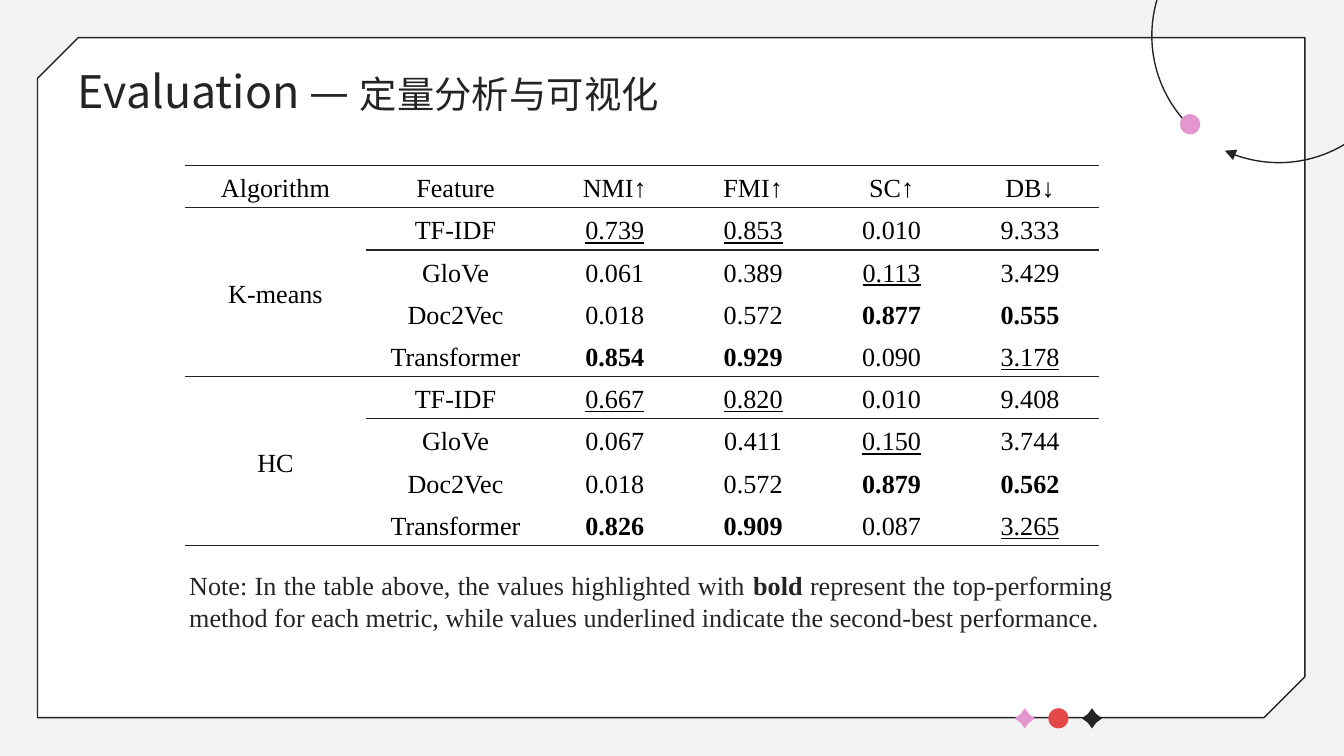
from lxml import etree
from pptx import Presentation
from pptx.dml.color import RGBColor
from pptx.enum.shapes import MSO_SHAPE
from pptx.enum.text import MSO_ANCHOR, MSO_AUTO_SIZE, PP_ALIGN
from pptx.oxml.ns import qn
from pptx.util import Inches, Pt

PANEL, STAR, OVAL, ARC = (MSO_SHAPE.SNIP_2_DIAG_RECTANGLE, MSO_SHAPE.STAR_4_POINT,
                          MSO_SHAPE.OVAL, MSO_SHAPE.ARC)
MIDDLE = MSO_ANCHOR.MIDDLE
FIXED, GROW = MSO_AUTO_SIZE.NONE, MSO_AUTO_SIZE.SHAPE_TO_FIT_TEXT
LEFT, CENTER, JUSTIFY = PP_ALIGN.LEFT, PP_ALIGN.CENTER, PP_ALIGN.JUSTIFY

INK, PINK, RED = "242424", "E496CE", "E44949"
SERIF, SANS = "Times New Roman", "Noto Sans CJK SC"
NO_STYLE = "{2D5ABB26-0587-4C30-8999-92F81FD0307C}"

HEADERS = ["Algorithm", "Feature", "NMI↑", "FMI↑", "SC↑", "DB↓"]
RESULTS = {
    "K-means": [
        ["TF-IDF", "_0.739", "_0.853", "0.010", "9.333"],
        ["GloVe", "0.061", "0.389", "_0.113", "3.429"],
        ["Doc2Vec", "0.018", "0.572", "*0.877", "*0.555"],
        ["Transformer", "*0.854", "*0.929", "0.090", "_3.178"],
    ],
    "HC": [
        ["TF-IDF", "_0.667", "_0.820", "0.010", "9.408"],
        ["GloVe", "0.067", "0.411", "_0.150", "3.744"],
        ["Doc2Vec", "0.018", "0.572", "*0.879", "*0.562"],
        ["Transformer", "*0.826", "*0.909", "0.087", "_3.265"],
    ],
}
COLUMN_WIDTHS = [1.34, 1.34] + [1.03] * 4


def rgb(value):
    return RGBColor.from_string(value)


def set_attrs(obj, values):
    for name, value in values.items():
        setattr(obj, name, value)


def add_run(p, text, size, font, color, **style):
    r = p.add_run()
    r.text = text
    set_attrs(r.font, {"size": Pt(size), "name": font, **style})
    r.font.color.rgb = rgb(color)
    ea = etree.SubElement(r.font._element, qn("a:ea"))
    ea.set("typeface", font)


def add_shape(s, kind, box, fill=None, line=None, adjustments=(), rotation=0):
    sp = s.shapes.add_shape(kind, *map(Inches, box))
    sp.shadow.inherit = False
    sp.rotation = rotation
    for i, value in enumerate(adjustments):
        sp.adjustments[i] = value
    if fill:
        sp.fill.solid()
        sp.fill.fore_color.rgb = rgb(fill)
    else:
        sp.fill.background()
    if line:
        sp.line.color.rgb = rgb(line)
        sp.line.width = Pt(0.75)
    else:
        sp.line.fill.background()
    return sp


def add_decoration(s):
    panel = add_shape(s, PANEL, (0.28, 0.28, 9.43, 5.06), "FFFFFF", INK, (0, 0.06))
    panel._element.spPr.xfrm.set("flipH", "1")
    marks = [(STAR, PINK, [0.3]), (OVAL, RED, []), (STAR, INK, [0.3])]
    for i, (kind, color, adjustments) in enumerate(marks):
        add_shape(s, kind, (7.55 + 0.25 * i, 5.27, 0.15, 0.15), color,
                  adjustments=adjustments)
    arc = add_shape(s, ARC, (8.57, -0.68, 1.89, 1.89), line=INK,
                    adjustments=(162, 150.08), rotation=225)
    tail = etree.SubElement(arc.line._get_or_add_ln(), qn("a:tailEnd"))
    tail.set("type", "triangle")
    add_shape(s, OVAL, (8.78, 0.85, 0.15, 0.15), PINK)


def add_border(cell, side):
    ln = etree.SubElement(cell._tc.get_or_add_tcPr(), qn("a:ln" + side), w=str(Pt(1)))
    fill = etree.SubElement(ln, qn("a:solidFill"))
    etree.SubElement(fill, qn("a:srgbClr"), val=INK)


def fill_cell(cell, text, sides):
    set_attrs(cell, {"vertical_anchor": MIDDLE, "margin_left": Inches(0.07),
                     "margin_right": Inches(0.07), "margin_top": 0, "margin_bottom": 0})
    for side in sides:
        add_border(cell, side)
    cell.fill.background()
    p = cell.text_frame.paragraphs[0]
    set_attrs(p, {"alignment": CENTER, "line_spacing": Pt(18)})
    if text:
        add_run(p, text.lstrip("*_"), 14, SERIF, "000000",
                bold=text.startswith("*"), underline=text.startswith("_"))


def add_results(s):
    rows = [HEADERS]
    for algorithm, group in RESULTS.items():
        rows += [[algorithm if i == 0 else ""] + row for i, row in enumerate(group)]
    frame = s.shapes.add_table(len(rows), len(HEADERS), Inches(1.38), Inches(1.23),
                               Inches(6.8), Inches(2.83))
    table = frame.table
    set_attrs(table, {"first_row": False, "horz_banding": False})
    table._tbl.tblPr.find(qn("a:tableStyleId")).text = NO_STYLE
    for column, width in zip(table.columns, COLUMN_WIDTHS):
        column.width = Inches(width)
    for i, row in enumerate(rows):
        for j, text in enumerate(row):
            starts = i == 0 or i % 4 == 1
            ends = i % 4 == 0 or (starts and j == 0)
            fill_cell(table.cell(i, j), text, "T" * starts + "B" * ends)
    for top in range(1, len(rows), 4):
        table.cell(top, 0).merge(table.cell(top + 3, 0))


def add_note(s):
    box = s.shapes.add_textbox(*map(Inches, (1.31, 4.19, 7.07, 0.57)))
    set_attrs(box.text_frame, {"word_wrap": True, "auto_size": GROW})
    p = box.text_frame.paragraphs[0]
    p.alignment = JUSTIFY
    add_run(p, "Note: In the table above, the values highlighted with ", 14, SERIF, INK)
    add_run(p, "bold", 14, SERIF, INK, bold=True)
    add_run(p, " represent the top-performing method for each metric, while values "
               "underlined indicate the second-best performance.", 14, SERIF, INK)


def set_title(s):
    title = s.shapes.title
    set_attrs(title, {"left": Inches(0.48), "top": Inches(0.36),
                      "width": Inches(8.43), "height": Inches(0.63)})
    margins = {"margin_" + side: Inches(0.1) for side in ("left", "top", "right", "bottom")}
    set_attrs(title.text_frame, {"word_wrap": True, "auto_size": FIXED,
                                 "vertical_anchor": MIDDLE, **margins})
    p = title.text_frame.paragraphs[0]
    p.alignment = LEFT
    add_run(p, "Evaluation — ", 24, SANS, INK)
    add_run(p, "定量分析与可视化", 20, SANS, INK)
    s.shapes._spTree.append(title._element)


def main():
    prs = Presentation()
    set_attrs(prs, {"slide_width": Inches(10), "slide_height": Inches(10) * 9 // 16})
    s = prs.slides.add_slide(prs.slide_layouts[5])
    s.background.fill.solid()
    s.background.fill.fore_color.rgb = rgb("F3F3F3")
    add_decoration(s)
    add_results(s)
    add_note(s)
    set_title(s)
    prs.save("out.pptx")


if __name__ == "__main__":
    main()
